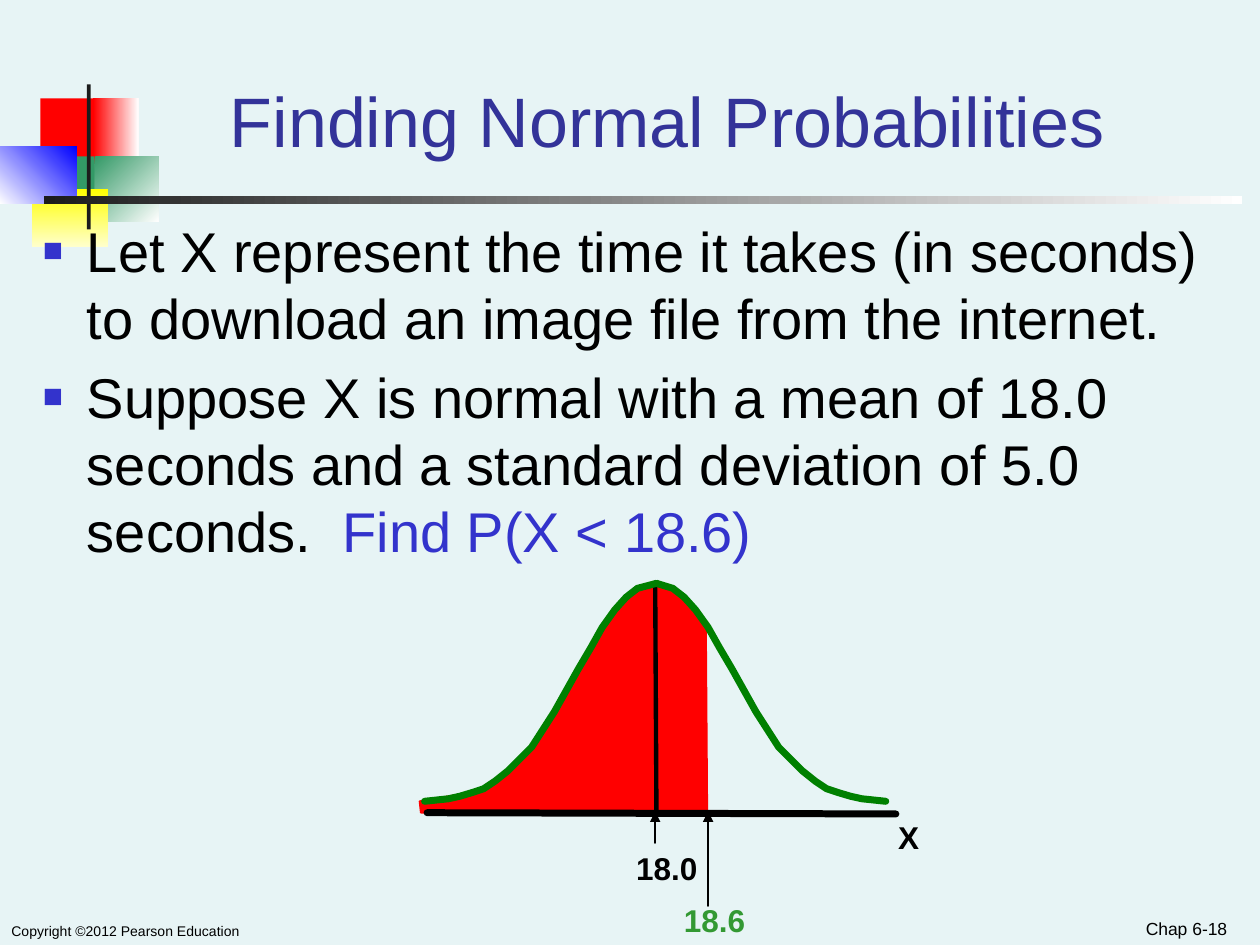
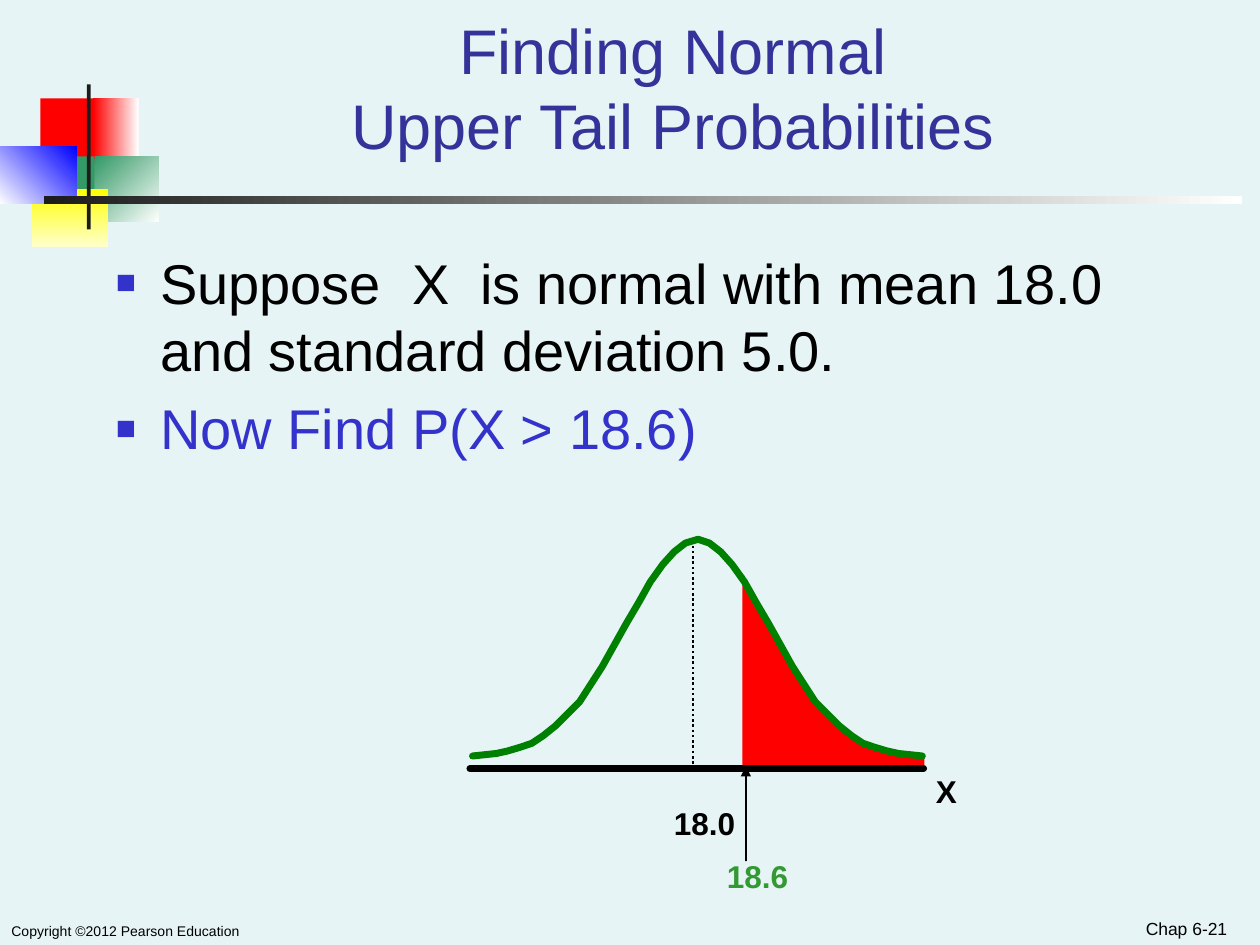
from lxml.etree import SubElement
from pptx import Presentation
from pptx.dml.color import RGBColor as Rgb
from pptx.enum.dml import MSO_LINE_DASH_STYLE as Dash
from pptx.enum.shapes import MSO_CONNECTOR_TYPE as Connector, MSO_SHAPE as Shape
from pptx.enum.text import MSO_ANCHOR as Anchor, MSO_AUTO_SIZE as AutoSize, PP_ALIGN as Align
from pptx.oxml.ns import qn
from pptx.util import Pt

PX = 9144
FONT = "Arial"
COLORS = {
    "background": "E7F4F5", "title": "333399", "accent": "3333CC", "text": "000000",
    "cutoff": "339933", "curve": "008000", "area": "FF0000", "red": "FF0000",
    "green": "339966", "yellow": "FFFF00", "cream": "FFFFCC", "blue": "0000FF",
    "white": "FFFFFF", "bar": "1C1C1C",
}
BANDS = [
    ((32, 78, 48, 52), "red", None, 0),
    ((74, 78, 36, 52), "red", "white", 0),
    ((75, 124, 51, 52), "green", "white", 45),
    ((43, 124, 32, 52), "green", None, 0),
    ((25, 150, 61, 46), "yellow", "cream", 90),
    ((0, 116, 61, 46), "white", "blue", 315),
    ((69, 67, 3, 115), "bar", None, 0),
    ((35, 156, 951, 6), "bar", "white", 0),
]
HALF_BELL = [
    (0, 0), (19, 2), (28, 4), (38, 7), (47, 10), (56, 16), (66, 24), (85, 43),
    (103, 71), (122, 105), (132, 122), (141, 138), (151, 152), (160, 162), (169, 169),
]
LOWER_AREA = [
    (520, 644), (524, 462), (496, 475), (480, 497), (467, 519), (455, 544), (444, 561),
    (431, 581), (423, 593), (407, 608), (379, 628), (333, 636), (334, 645),
]
MIDDLE_AREA = [
    (521, 464), (520, 645), (562, 645), (561, 499), (556, 489), (550, 482), (538, 469),
]
UPPER_AREA = [
    (590, 610), (590, 457), (594, 469), (604, 484), (610, 498), (617, 508), (624, 523),
    (637, 543), (648, 558), (666, 577), (695, 594), (733, 600), (733, 610),
]


def color(name):
    """Turn a palette name into a colour value."""
    return Rgb.from_string(COLORS[name])


def assign(target, values):
    """Set each named attribute of the target."""
    for name, value in values.items():
        setattr(target, name, value)


class SlideWriter:
    """Hold the deck style and draw elements on the current slide."""

    def __init__(self, deck):
        """Set the page size and the shared background."""
        self.deck = deck
        assign(deck, {"slide_width": 1000 * PX, "slide_height": 750 * PX})
        fill = deck.slide_master.background.fill
        fill.solid()
        fill.fore_color.rgb = color("background")

    def page(self, number):
        """Start a slide with its bands and footers."""
        self.slide = self.deck.slides.add_slide(self.deck.slide_layouts[1])
        self.shapes = self.slide.shapes
        for band in BANDS:
            self.band(*band)
        footer = {"inset": 9, "anchor": Anchor.BOTTOM, "wrap": True}
        self.label((0, 725, 642, 25), "Copyright ©2012 Pearson Education", 8, **footer)
        self.label((750, 715, 233, 35), f"Chap 6-{number}", 10, align=Align.RIGHT, **footer)

    def band(self, place, start, end, angle):
        """Draw one plain or gradient band."""
        band = self.shapes.add_shape(Shape.RECTANGLE, *(n * PX for n in place))
        band.shadow.inherit = False
        band.line.fill.background()
        if end is None:
            band.fill.solid()
            band.fill.fore_color.rgb = color(start)
            return
        band.fill.gradient()
        band.fill.gradient_angle = (360 - angle) % 360
        for stop, name in zip(band.fill.gradient_stops, (start, end)):
            stop.color.rgb = color(name)

    def frame(self, box, inset, anchor, wrap=True):
        """Prepare the text frame of a box."""
        frame = box.text_frame
        assign(frame, {
            "auto_size": AutoSize.NONE, "word_wrap": wrap, "vertical_anchor": anchor,
            "margin_left": inset * PX, "margin_right": inset * PX,
            "margin_top": 5 * PX, "margin_bottom": 5 * PX,
        })
        return frame

    def style(self, span, size, name, bold=False):
        """Format one run of text."""
        assign(span.font, {"name": FONT, "size": Pt(size), "bold": bold})
        span.font.color.rgb = color(name)

    def placeholder(self, index, place, anchor):
        """Move a placeholder in front of the bands and return its frame."""
        box = self.slide.placeholders[index]
        assign(box, dict(zip(("left", "top", "width", "height"), (n * PX for n in place))))
        box.element.getparent().append(box.element)
        return self.frame(box, 9, anchor)

    def title(self, place, text, size):
        """Write the centred slide title."""
        para = self.placeholder(0, place, Anchor.BOTTOM).paragraphs[0]
        assign(para, {"text": text, "alignment": Align.CENTER})
        for span in para.runs:
            self.style(span, size, "title")

    def body(self, place, items):
        """Write bulleted paragraphs, each a list of coloured spans."""
        frame = self.placeholder(1, place, Anchor.TOP)
        for index, spans in enumerate(items):
            para = frame.add_paragraph() if index else frame.paragraphs[0]
            self.bullet(para)
            para.space_before = Pt(6.4 if index else 0)
            for text, name in spans:
                span = para.add_run()
                span.text = text
                self.style(span, 32, name)

    def bullet(self, para):
        """Give a paragraph a small square bullet and a hanging indent."""
        props = para._p.get_or_add_pPr()
        props.set("marL", str(35 * PX))
        props.set("indent", str(-35 * PX))
        tint = SubElement(props, qn("a:buClr"))
        SubElement(tint, qn("a:srgbClr"), val=COLORS["accent"])
        SubElement(props, qn("a:buSzPct"), val="60000")
        SubElement(props, qn("a:buFont"), typeface=FONT)
        SubElement(props, qn("a:buChar"), char="■")

    def label(self, place, text, size=18, name="text", bold=False, align=Align.LEFT,
              inset=10, anchor=Anchor.TOP, wrap=False):
        """Write a single line in a text box."""
        box = self.shapes.add_textbox(*(n * PX for n in place))
        para = self.frame(box, inset, anchor, wrap).paragraphs[0]
        para.alignment = align
        span = para.add_run()
        span.text = text
        self.style(span, size, name, bold)

    def value(self, left, top, text, name="text", width=69):
        """Write a bold axis label."""
        self.label((left, top, width, 40), text, name=name, bold=True)

    def outline(self, points, fill=None, line=None, width=1, close=False):
        """Draw a freeform through the points."""
        builder = self.shapes.build_freeform(*points[0], scale=PX)
        builder.add_line_segments(points[1:], close=close)
        shape = builder.convert_to_shape()
        shape.shadow.inherit = False
        if fill:
            shape.fill.solid()
            shape.fill.fore_color.rgb = color(fill)
        else:
            shape.fill.background()
        if line:
            self.stroke(shape, line, width)
        else:
            shape.line.fill.background()

    def stroke(self, shape, name, width):
        """Give a shape a round-capped line."""
        shape.line.color.rgb = color(name)
        shape.line.width = Pt(width)
        stroke = shape.element.spPr.get_or_add_ln()
        stroke.set("cap", "rnd")
        return stroke

    def bell(self, left, right, base, peak):
        """Draw both halves of the normal curve from the tails to the peak."""
        for tail, side in ((right, -1), (left, 1)):
            half = [(tail + side * x, base - y) for x, y in HALF_BELL]
            self.outline(half + [peak], line="curve", width=4)

    def line(self, start, end, width=1, arrow=False, dash=None):
        """Draw a straight line, dashed or with an arrowhead if asked."""
        line = self.shapes.add_connector(Connector.STRAIGHT, *(n * PX for n in start + end))
        SubElement(line.element.spPr, qn("a:effectLst"))
        stroke = self.stroke(line, "text", width)
        if dash:
            stroke.set("cap", "flat")
            line.line.dash_style = dash
        if arrow:
            SubElement(stroke, qn("a:tailEnd"), type="triangle")


def lower_probability(writer):
    """Build the slide on the area below the cutoff."""
    writer.page(18)
    writer.title((126, 25, 807, 108), "Finding Normal Probabilities", 40)
    writer.body((25, 167, 958, 292), [
        [("Let X represent the time it takes (in seconds) to download an image file "
          "from the internet.", "text")],
        [("Suppose X is normal with a mean of 18.0 seconds and a standard deviation "
          "of 5.0 seconds.  ", "text"), ("Find P(X < 18.6)", "accent")],
    ])
    writer.value(533, 710, "18.6", "cutoff")
    writer.outline(MIDDLE_AREA, fill="area")
    writer.outline(LOWER_AREA, fill="area", line="area", close=True)
    writer.line((520, 465), (521, 644), 2.5)
    writer.bell(337, 703, 636, (521, 463))
    writer.line((339, 645), (711, 646), 4)
    writer.value(703, 644, "X", width=42)
    writer.value(495, 669, "18.0")
    writer.line((520, 669), (520, 644), arrow=True)
    writer.line((562, 719), (562, 644), arrow=True)


def upper_probability(writer):
    """Build the slide on the area above the cutoff."""
    writer.page(21)
    writer.title((108, 42, 852, 92), "Finding Normal\vUpper Tail Probabilities", 36)
    writer.body((83, 192, 883, 496), [
        [("Suppose  X  is normal with mean 18.0 and standard deviation 5.0.", "text")],
        [("Now Find P(X > 18.6)", "accent")],
    ])
    writer.outline(UPPER_AREA, fill="area", line="area", close=True)
    writer.bell(375, 732, 600, (554, 428))
    writer.line((373, 610), (733, 610), 4)
    writer.value(733, 608, "X", width=42)
    writer.value(567, 675, "18.6", "cutoff")
    writer.value(525, 633, "18.0")
    writer.line((592, 683), (592, 608), arrow=True)
    writer.line((550, 433), (550, 608), 1.5, dash=Dash.ROUND_DOT)


def main():
    """Build both slides and save the deck."""
    deck = Presentation()
    writer = SlideWriter(deck)
    lower_probability(writer)
    upper_probability(writer)
    deck.save("out.pptx")


if __name__ == "__main__":
    main()
